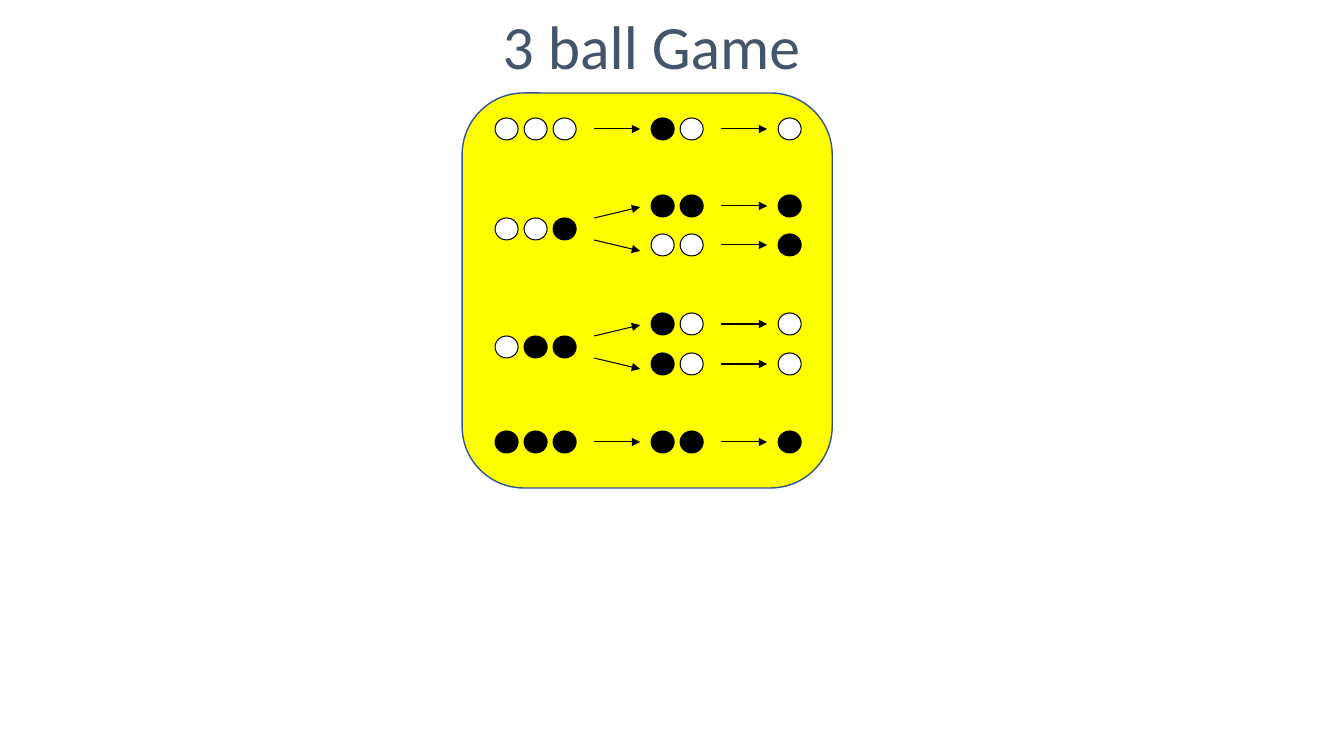
"""Build the 3 ball Game slide: each starting hand and the draws that follow it."""
from lxml import etree
from pptx import Presentation
from pptx import util as u
from pptx.dml.color import RGBColor
from pptx.enum import shapes, text
from pptx.oxml import ns

TITLE = "3 ball Game"
TITLE_BOX = (198, -1, 907, 92)
TITLE_FONT = {"name": "Calibri", "size": u.Pt(44), "bold": False}
PANEL_BOX = (462, 93, 370, 395)
COLOURS = {"W": "FFFFFF", "B": "000000"}
GAMES = [
    (129, "WWW", [(129, "BW", "W")]),
    (229, "WWB", [(206, "BB", "B"), (245, "WW", "B")]),
    (347, "WBB", [(324, "BW", "W"), (364, "BW", "W")]),
    (442, "BBB", [(442, "BB", "B")]),
]
BALL_W, BALL_H, PITCH = 23, 22, 29
HAND_X, PAIR_X, LAST_X = 495, 651, 778
FIRST_ARROW, SECOND_ARROW, ARROW_W = 594, 721, 46
FORK = 11


def px(n):
    return round(n * u.Inches(1) / 100.8)


def rgb(code):
    return RGBColor.from_string(code)


def add_shape(kind, box, fill, line, width):
    sp = s.shapes.add_shape(kind, *map(px, box))
    sp.shadow.inherit = False
    sp.fill.solid()
    sp.fill.fore_color.rgb = rgb(fill)
    sp.line.color.rgb = rgb(line)
    sp.line.width = u.Pt(width)


def add_balls(x, y, balls):
    for i, ball in enumerate(balls):
        box = (x + i * PITCH, y - BALL_H / 2, BALL_W, BALL_H)
        add_shape(shapes.MSO_SHAPE.OVAL, box, COLOURS[ball], "000000", 0.75)


def add_arrow(x, y1, y2):
    ends = map(px, (x, y1, x + ARROW_W, y2))
    c = s.shapes.add_connector(shapes.MSO_CONNECTOR.STRAIGHT, *ends)
    c.line.color.rgb = rgb("000000")
    c.line.width = u.Pt(0.75)
    etree.SubElement(c.line._get_or_add_ln(), ns.qn("a:tailEnd"), type="triangle")
    etree.SubElement(c._element.spPr, ns.qn("a:effectLst"))


prs = Presentation()
prs.slide_width, prs.slide_height = u.Inches(13.33), u.Inches(7.5)
s = prs.slides.add_slide(prs.slide_layouts[5])

title = s.shapes.title
title.left, title.top, title.width, title.height = map(px, TITLE_BOX)
tf = title.text_frame
tf.word_wrap = True
tf.vertical_anchor = text.MSO_ANCHOR.MIDDLE
p = tf.paragraphs[0]
p.alignment = text.PP_ALIGN.CENTER
r = p.add_run()
r.text = TITLE
for name, value in TITLE_FONT.items():
    setattr(r.font, name, value)
r.font.color.rgb = rgb("44546A")

add_shape(shapes.MSO_SHAPE.ROUNDED_RECTANGLE, PANEL_BOX, "FFFF00", "325491", 1)
for hand_y, hand, draws in GAMES:
    add_balls(HAND_X, hand_y, hand)
    slopes = (0,) if len(draws) == 1 else (-FORK, FORK)
    for slope, (y, pair, last) in zip(slopes, draws):
        add_arrow(FIRST_ARROW, hand_y + slope, hand_y + 2 * slope)
        add_balls(PAIR_X, y, pair)
        add_arrow(SECOND_ARROW, y, y)
        add_balls(LAST_X, y, last)

prs.save("out.pptx")
